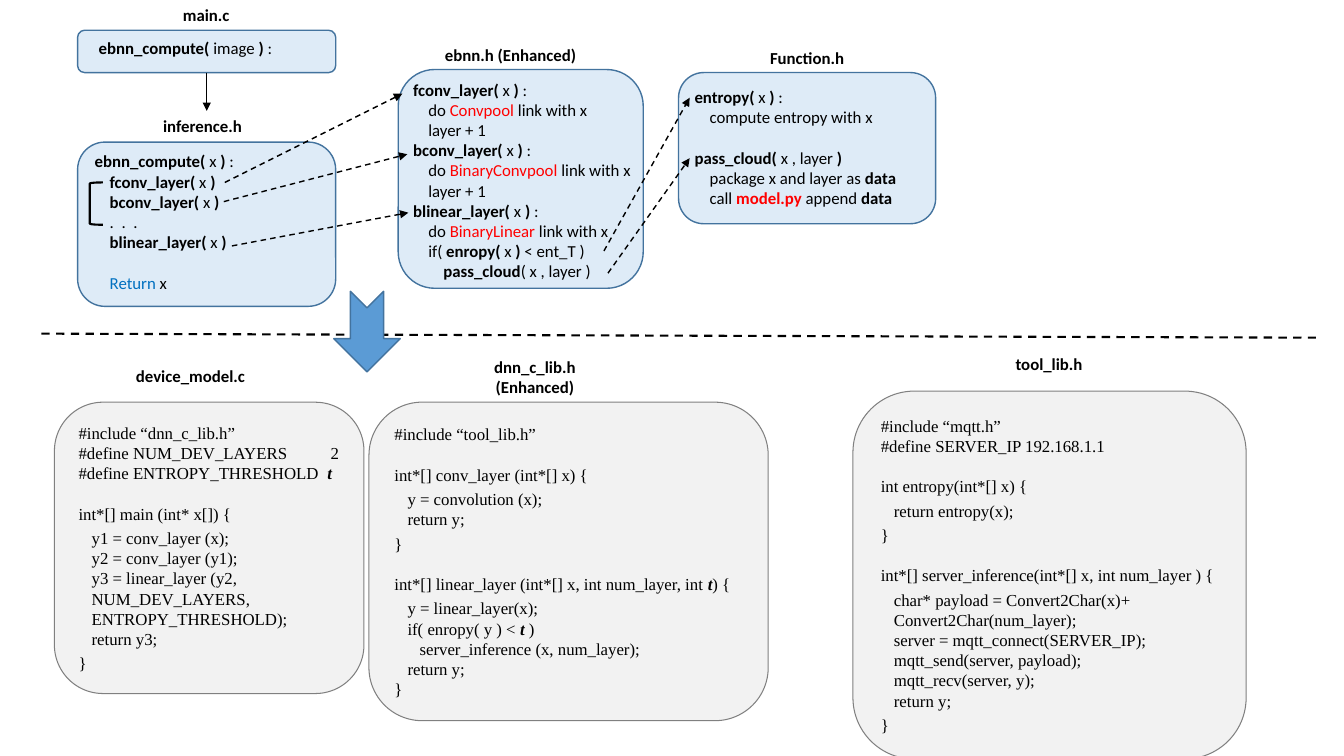
import pptx
import pptx.util
import pptx.dml.color
import pptx.enum.dml
import pptx.enum.shapes
import pptx.enum.text
import pptx.oxml
import pptx.oxml.ns
from lxml import etree

PX = 9144  # 100 px to the inch
COLORS = {
    "black": "000000", "red": "FF0000", "blue": "0070C0",
    "pale": "DEEBF7", "edge": "43739E", "arrow": "5B9BD5",
    "code": "F2F2F2", "code_edge": "808080",
}
# A run "name:text" between bars takes the named format
RUNS = {
    "bold": {"bold": True},
    "red": {"color": "red"},
    "blue": {"color": "blue"},
    "redbold": {"color": "red", "bold": True},
    "var": {"bold": True, "italic": True},
}
GAP = 14.5  # height of one line, in points
SHAPE = pptx.enum.shapes.MSO_SHAPE
ANCHOR = pptx.enum.text.MSO_ANCHOR
ALIGN = pptx.enum.text.PP_ALIGN


def rgb(name):
    return pptx.dml.color.RGBColor.from_string(COLORS[name])


def add_run(paragraph, text, font="Calibri", size=12, color="black", bold=False, italic=False):
    run = paragraph.add_run()
    run.text = text
    run.font.name = font
    run.font.size = pptx.util.Pt(size)
    run.font.bold = bold
    run.font.italic = italic
    run.font.color.rgb = rgb(color)


def write(shape, lines, font="Calibri", bold=False, align=ALIGN.LEFT,
          anchor=ANCHOR.TOP, wrap=True, tab=None):
    """Each line is a text, or (text, indent in px, space before in points)."""
    frame = shape.text_frame
    frame.word_wrap = wrap
    frame.vertical_anchor = anchor
    for index, line in enumerate(lines):
        text, indent, before = (line, 0, 0) if isinstance(line, str) else line
        paragraph = frame.add_paragraph() if index else frame.paragraphs[0]
        paragraph.alignment = align
        properties = paragraph._p.get_or_add_pPr()
        properties.set("marL", str(indent * PX))
        properties.set("indent", "0")
        if tab and "\t" in text:
            tabs = etree.SubElement(properties, pptx.oxml.ns.qn("a:tabLst"))
            etree.SubElement(tabs, pptx.oxml.ns.qn("a:tab"), pos=str(tab * PX), algn="l")
        if before:
            paragraph.space_before = pptx.util.Pt(before)
        for part in text.split("|"):
            name, _, rest = part.partition(":")
            if name in RUNS:
                add_run(paragraph, rest, font=font, **{"bold": bold, **RUNS[name]})
            else:
                add_run(paragraph, part, font=font, bold=bold)


class Diagram:
    def __init__(self, slide):
        self.slide = slide

    def shape(self, kind, box, fill, edge, width=1):
        shape = self.slide.shapes.add_shape(kind, *[value * PX for value in box])
        shape.shadow.inherit = False
        if fill:
            shape.fill.solid()
            shape.fill.fore_color.rgb = rgb(fill)
        else:
            shape.fill.background()
        shape.line.color.rgb = rgb(edge)
        shape.line.width = pptx.util.Pt(width)
        return shape

    def panel(self, *box):
        return self.shape(SHAPE.ROUNDED_RECTANGLE, box, "pale", "edge")

    def code(self, box, lines, tab=None):
        shape = self.shape(SHAPE.ROUNDED_RECTANGLE, box, "code", "code_edge", 0.75)
        write(shape, lines, font="Times New Roman", anchor=ANCHOR.MIDDLE, tab=tab)

    def text(self, box, lines, **style):
        shape = self.slide.shapes.add_textbox(*[value * PX for value in box])
        write(shape, lines, **style)
        return shape

    def label(self, box, text, right=10):
        shape = self.text(box, [text], bold=True, align=ALIGN.CENTER)
        shape.text_frame.margin_right = right * PX
        return shape

    def line(self, start, end, width=1, dashed=True, arrow=True):
        connector = self.slide.shapes.add_connector(
            pptx.enum.shapes.MSO_CONNECTOR.STRAIGHT,
            *[value * PX for value in start + end])
        connector.line.color.rgb = rgb("black")
        connector.line.width = pptx.util.Pt(width)
        if dashed:
            connector.line.dash_style = pptx.enum.dml.MSO_LINE.DASH
        if arrow:
            etree.SubElement(connector.line._get_or_add_ln(),
                             pptx.oxml.ns.qn("a:tailEnd"), type="triangle")
        etree.SubElement(connector._element.spPr, pptx.oxml.ns.qn("a:effectLst"))
        return connector


def main():
    presentation = pptx.Presentation()
    presentation.slide_width = 1333 * PX
    presentation.slide_height = 750 * PX
    diagram = Diagram(presentation.slides.add_slide(presentation.slide_layouts[6]))

    # Generated C files
    diagram.code((54, 399, 307, 289), [
        "#include “dnn_c_lib.h”",
        "#define NUM_DEV_LAYERS\t2",
        "#define ENTROPY_THRESHOLD  |var:t",
        ("int*[] main (int* x[]) {", 0, GAP),
        ("y1 = conv_layer (x);", 13, 3),
        ("y2 = conv_layer (y1);", 13, 0),
        ("y3 = linear_layer (y2, NUM_DEV_LAYERS, ENTROPY_THRESHOLD);", 13, 0),
        ("return y3;", 13, 0),
        ("}", 0, 3),
    ], tab=244)
    diagram.code((366, 399, 396, 316), [
        "#include “tool_lib.h”",
        ("int*[] conv_layer (int*[] x) {", 0, GAP),
        ("y = convolution (x);", 13, 3),
        ("return y;", 13, 0),
        ("}", 0, 3),
        ("int*[] linear_layer (int*[] x, int num_layer, int |var:t|) {", 0, GAP),
        ("y = linear_layer(x);", 13, 3),
        ("if( enropy( y ) < |var:t| )", 13, 0),
        ("server_inference (x, num_layer);", 25, 0),
        ("return y;", 13, 0),
        "}",
    ])
    diagram.code((846, 388, 390, 365), [
        "#include “mqtt.h”",
        "#define SERVER_IP 192.168.1.1",
        ("int entropy(int*[] x) {", 0, GAP),
        ("return entropy(x);", 13, 3),
        ("}", 0, 3),
        ("int*[] server_inference(int*[] x, int num_layer ) {", 0, GAP),
        ("char* payload = Convert2Char(x)+", 13, 3),
        ("Convert2Char(num_layer);", 13, 0),
        ("server = mqtt_connect(SERVER_IP);", 13, 0),
        ("mqtt_send(server, payload);", 13, 0),
        ("mqtt_recv(server, y);", 13, 0),
        ("return y;", 13, 0),
        ("}", 0, 3),
    ])

    # File names
    diagram.label((116, 358, 146, 30), "device_model.c")
    diagram.label((451, 349, 159, 50), "dnn_c_lib.h (Enhanced)")
    diagram.label((961, 346, 159, 30), "tool_lib.h")
    diagram.label((170, 0, 69, 30), "main.c")
    inference_label = diagram.label((132, 110, 146, 30), "inference.h", right=18)
    diagram.label((431, 39, 159, 30), "ebnn.h (Enhanced)", right=18)
    diagram.label((747, 42, 107, 30), "Function.h")

    # Source panels
    main_panel = diagram.panel(77, 30, 256, 42)
    diagram.text((88, 33, 198, 30), ["bold:ebnn_compute( |image |bold:)| :"], wrap=False)
    diagram.panel(77, 141, 256, 163)
    diagram.text((84, 145, 243, 151), [
        "bold:ebnn_compute( |x |bold:)| :",
        ("bold:fconv_layer( |x |bold:)", 15, 0),
        ("bold:bconv_layer( |x|bold: )", 15, 0),
        (".  .  .", 15, 0),
        ("bold:blinear_layer( |x|bold: )", 15, 0),
        ("blue:Return| x", 15, GAP),
    ])
    diagram.panel(395, 69, 243, 217)
    diagram.text((400, 74, 243, 212), [
        "bold:fconv_layer( |x|bold: )| :",
        ("do |red:Convpool| link with x", 15, 0),
        ("layer + 1", 15, 0),
        "bold:bconv_layer( |x|bold: )| :",
        ("do |red:BinaryConvpool| link with x", 15, 0),
        ("layer + 1", 15, 0),
        "bold:blinear_layer( |x |bold:)| :",
        ("do |red:BinaryLinear| link with x", 15, 0),
        ("if( |bold:enropy( |x|bold: ) |< ent_T )", 15, 0),
        ("bold:pass_cloud|( x , layer )", 30, 0),
    ])
    diagram.panel(673, 72, 255, 150)
    diagram.text((679, 81, 242, 131), [
        "bold:entropy( |x |bold:)| :",
        ("compute entropy with x", 15, 0),
        ("bold:pass_cloud( |x , layer|bold: )", 0, GAP),
        ("package x and layer as |bold:data", 15, 0),
        ("call |redbold:model.py| append |bold:data", 15, 0),
    ])

    # Call arrows
    first_call = diagram.line((205, 72), (205, 110), dashed=False)
    first_call.begin_connect(main_panel, 2)
    first_call.end_connect(inference_label, 0)
    for start, end in [((223, 181), (399, 93)), ((222, 200), (404, 153)),
                       ((230, 244), (405, 211)), ((599, 249), (684, 97)),
                       ((603, 271), (684, 157))]:
        diagram.line(start, end)
    diagram.shape(SHAPE.LEFT_BRACKET, (89, 181, 13, 42), None, "black", 1.5)

    # Divider and conversion arrow
    diagram.line((41, 331), (1305, 335), width=1.5, arrow=False)
    conversion = diagram.shape(SHAPE.NOTCHED_RIGHT_ARROW, (324, 296, 80, 66), "arrow", "edge")
    conversion.rotation = 90

    presentation.save("out.pptx")


if __name__ == "__main__":
    main()
